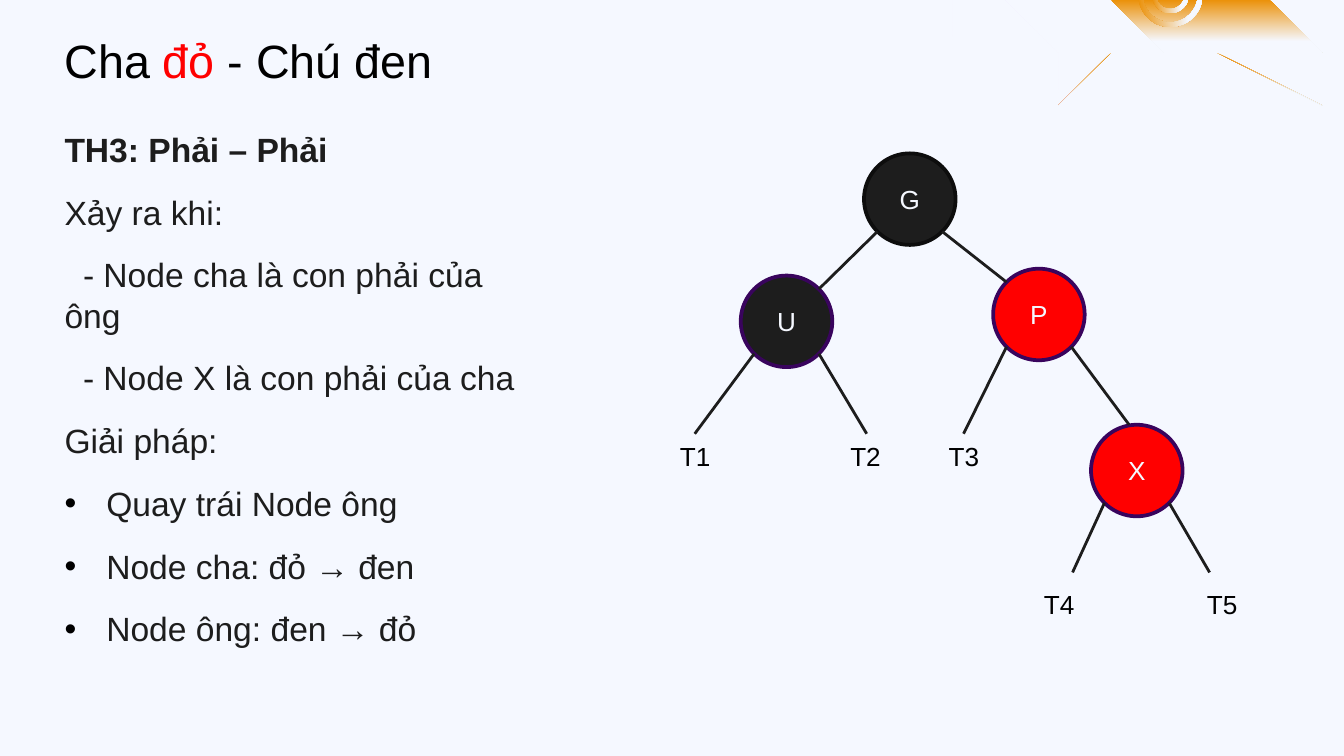
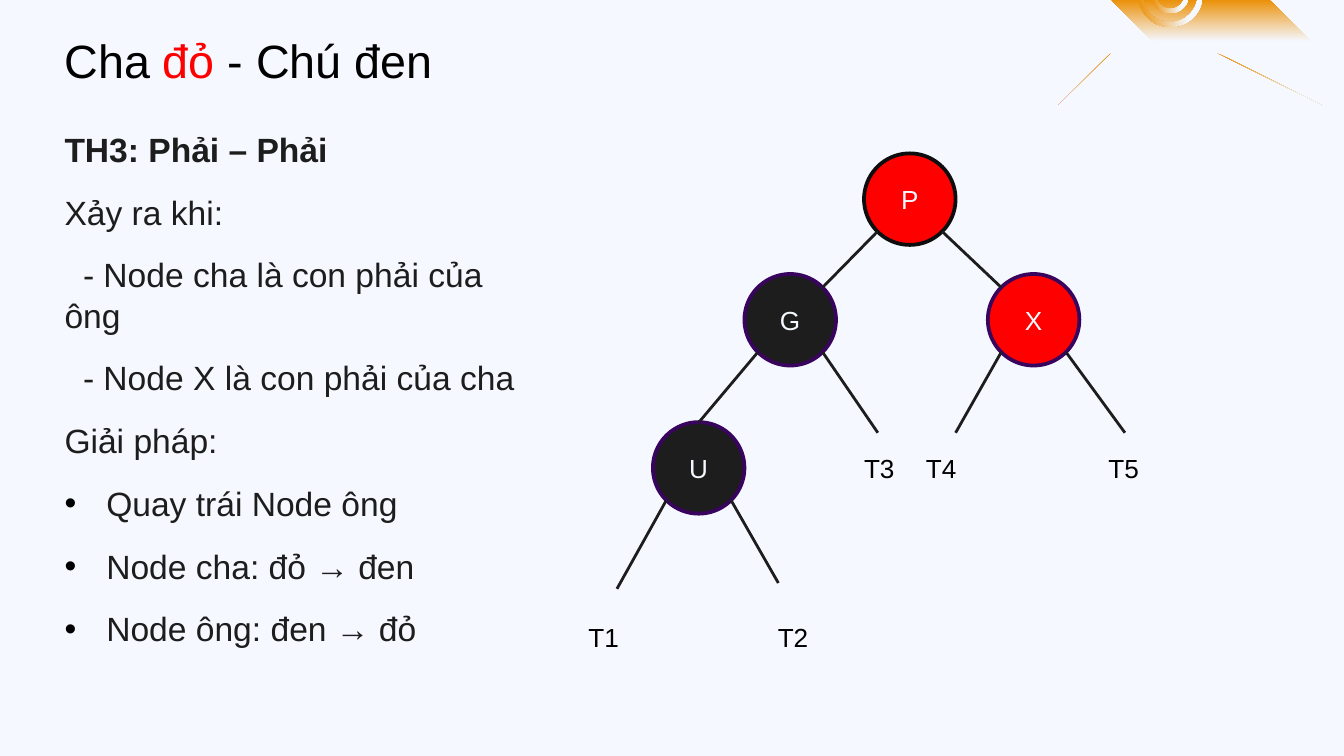
from math import sqrt

from lxml.etree import SubElement
from pptx import Presentation
from pptx.dml.color import RGBColor
from pptx.enum.shapes import MSO_CONNECTOR as Connector, MSO_SHAPE as Preset
from pptx.enum.text import MSO_ANCHOR as Anchor, MSO_AUTO_SIZE as AutoSize, PP_ALIGN as Align
from pptx.oxml.ns import qn
from pptx.util import Cm, Pt

FONT = "Arial"
COLORS = {
    "ground": "F5F8FF", "text": "000000", "ink": "1D1D1D", "red": "FF0000",
    "root_rim": "0D0D0D", "rim": "39045D",
    "orange": "EB9109", "violet": "9900FF", "white": "FFFFFF",
}

TITLE = [("Cha ", "text"), ("đỏ", "red"), (" - Chú đen", "text")]
# (kind, text)
BODY = [
    ("head", "TH3: Phải – Phải"),
    ("plain", "Xảy ra khi:"),
    ("dash", "- Node cha là con phải của ông"),
    ("dash", "- Node X là con phải của cha"),
    ("plain", "Giải pháp:"),
    ("bullet", "Quay trái Node ông"),
    ("bullet", "Node cha: đỏ → đen"),
    ("bullet", "Node ông: đen → đỏ"),
]

# All positions are in cm. Nodes: left, top, fill; the first one is the root.
# Edges: parent, side, then a child node or the point where the edge stops.
TREES = [
    {
        "nodes": {
            "G": (16.33, 2.9, "ink"), "X": (20.62, 8.03, "red"),
            "U": (14, 5.21, "ink"), "P": (18.77, 5.08, "red"),
        },
        "edges": [
            ("G", "left", "U"), ("G", "right", "P"),
            ("U", "left", (13.13, 8.2)), ("U", "right", (16.38, 8.2)),
            ("P", "left", (18.21, 8.2)), ("P", "right", (21.34, 8.03)),
            ("X", "left", (20.27, 10.82)), ("X", "right", (22.86, 10.82)),
        ],
        "subtrees": {
            "T1": (12.6, 8.2), "T2": (15.82, 8.2), "T3": (17.68, 8.2),
            "T4": (19.48, 11), "T5": (22.56, 11),
        },
    },
    {
        "nodes": {
            "P": (16.33, 2.9, "red"), "G": (14.07, 5.18, "ink"),
            "X": (18.67, 5.18, "red"), "U": (12.34, 7.98, "ink"),
        },
        "edges": [
            ("P", "left", "G"), ("P", "right", "X"),
            ("G", "left", (13.21, 7.98)), ("G", "right", (16.59, 8.18)),
            ("X", "left", (18.06, 8.18)), ("X", "right", (21.26, 8.18)),
            ("U", "left", (11.66, 11.13)), ("U", "right", (14.71, 11.02)),
        ],
        "subtrees": {
            "T1": (10.87, 11.63), "T2": (14.45, 11.63), "T3": (16.08, 8.43),
            "T4": (17.25, 8.43), "T5": (20.7, 8.43),
        },
    },
]
NODE_SIZE = 1.73

# Gradient stops: position %, colour, opacity %
VIOLET_FADE = [(0, "violet", 47), (100, "white", 0)]
ORANGE_FADE = [(0, "orange", 100), (78, "ground", 100), (100, "ground", 100)]
TRACES = [
    (VIOLET_FADE, [
        (19.56, -4.29), (18.67, -3.38), (18.64, -3.38), (18.64, -0.66), (17.98, 0),
        (17.98, 1.19), (18.03, 1.19), (18.03, 0), (18.69, -0.66), (18.69, -3.35),
        (19.58, -4.27)]),
    (VIOLET_FADE, [
        (20.57, -3.28), (19.2, -1.88), (19.18, -1.88), (19.18, -0.36), (18.69, 0.15),
        (19.69, 1.14), (19.69, 1.65), (19.71, 1.65), (19.71, 1.14), (18.75, 0.15),
        (19.23, -0.33), (19.23, -1.88), (20.6, -3.25)]),
    (ORANGE_FADE, [
        (25.17, 1.37), (24.26, 0.46), (21.54, 0.46), (20.88, -0.2), (19.69, -0.2),
        (19.69, -0.15), (20.88, -0.15), (21.54, 0.51), (24.23, 0.51), (25.15, 1.4)]),
    (ORANGE_FADE, [
        (24.56, 2.39), (23.19, 1.02), (23.19, 0.99), (21.64, 0.99), (21.16, 0.51),
        (20.14, 1.5), (19.66, 1.5), (19.66, 1.52), (20.17, 1.52), (21.16, 0.56),
        (21.62, 1.04), (23.16, 1.04), (24.54, 2.41)]),
]
RING_CENTER = (22.12, -0.1)
RINGS = [(1.22, 0.09), (0.7, 0.08)]  # diameter, thickness


def rgb(name):
    return RGBColor.from_string(COLORS[name])


def add_run(paragraph, text, color, size, bold=False):
    run = paragraph.add_run()
    run.text = text
    run.font.name, run.font.size, run.font.bold = FONT, Pt(size), bold
    run.font.color.rgb = rgb(color)


def add_frame(slide, left, top, width, height, wrap=False):
    box = slide.shapes.add_textbox(Cm(left), Cm(top), Cm(width), Cm(height))
    frame = box.text_frame
    frame.word_wrap = wrap
    frame.auto_size = AutoSize.SHAPE_TO_FIT_TEXT
    return frame


def fade(shape, stops, angle):
    """Fill with a linear gradient, its angle clockwise from left-to-right."""
    shape.shadow.inherit = False
    shape.line.fill.background()
    shape.fill.gradient()
    gradient = shape._element.spPr.find(qn("a:gradFill"))
    for child in list(gradient):
        gradient.remove(child)
    stop_list = SubElement(gradient, qn("a:gsLst"))
    for position, color, opacity in stops:
        stop = SubElement(stop_list, qn("a:gs"), pos=str(position * 1000))
        tint = SubElement(stop, qn("a:srgbClr"), val=COLORS[color])
        if opacity < 100:
            SubElement(tint, qn("a:alpha"), val=str(opacity * 1000))
    SubElement(gradient, qn("a:lin"), ang=str(angle * 60000), scaled="0")


def add_circuit(slide):
    for stops, outline in TRACES:
        builder = slide.shapes.build_freeform(*outline[0], scale=Cm(1))
        builder.add_line_segments(outline[1:], close=True)
        fade(builder.convert_to_shape(), stops, 90)
    for diameter, thickness in RINGS:
        left, top = (Cm(middle - diameter / 2) for middle in RING_CENTER)
        ring = slide.shapes.add_shape(Preset.DONUT, left, top, Cm(diameter), Cm(diameter))
        ring.adjustments[0] = thickness / diameter
        fade(ring, ORANGE_FADE, 0)


def add_title(slide):
    paragraph = add_frame(slide, 0.97, 0.48, 8.1, 1.32).paragraphs[0]
    for text, color in TITLE:
        add_run(paragraph, text, color, 25)


def indent(paragraph, kind):
    properties = paragraph._p.get_or_add_pPr()
    if kind == "dash":
        properties.set("indent", str(Cm(0.35)))
    elif kind == "bullet":
        properties.set("marL", str(Cm(0.79)))
        properties.set("indent", str(-Cm(0.79)))
        bullet_color = SubElement(properties, qn("a:buClr"))
        SubElement(bullet_color, qn("a:srgbClr"), val=COLORS["text"])
        SubElement(properties, qn("a:buFont"), typeface=FONT)
        SubElement(properties, qn("a:buChar"), char="•")


def add_body(slide):
    frame = add_frame(slide, 0.97, 2.31, 9.55, 10.19, wrap=True)
    for index, (kind, text) in enumerate(BODY):
        paragraph = frame.add_paragraph() if index else frame.paragraphs[0]
        indent(paragraph, kind)
        paragraph.space_before = Pt(6 if index else 0)
        paragraph.space_after = Pt(6)
        add_run(paragraph, text, "ink", 18, bold=kind == "head")


def node_corner(node, side, below):
    """Point on a node's circle, 45 degrees off the vertical."""
    radius = NODE_SIZE / 2
    reach = radius / sqrt(2)
    left, top, _ = node
    return (left + radius + (reach if side == "right" else -reach),
            top + radius + (reach if below else -reach))


def add_edge(slide, start, end):
    edge = slide.shapes.add_connector(Connector.STRAIGHT, *map(Cm, start + end))
    edge.line.color.rgb = rgb("ink")
    edge.line.width = Pt(1.5)
    SubElement(edge._element.spPr, qn("a:effectLst"))


def add_node(slide, name, left, top, fill, rim):
    node = slide.shapes.add_shape(
        Preset.OVAL, Cm(left), Cm(top), Cm(NODE_SIZE), Cm(NODE_SIZE))
    node.shadow.inherit = False
    node.fill.solid()
    node.fill.fore_color.rgb = rgb(fill)
    node.line.color.rgb = rgb(rim)
    node.line.width = Pt(2)
    node.text_frame.vertical_anchor = Anchor.MIDDLE
    paragraph = node.text_frame.paragraphs[0]
    paragraph.alignment = Align.CENTER
    add_run(paragraph, name, "ground", 14)


def add_tree(slide, tree):
    nodes = tree["nodes"]
    for index, (name, node) in enumerate(nodes.items()):
        add_node(slide, name, *node, "rim" if index else "root_rim")
    for parent, side, end in tree["edges"]:
        if end in nodes:
            facing = "left" if side == "right" else "right"
            end = node_corner(nodes[end], facing, below=False)
        add_edge(slide, node_corner(nodes[parent], side, below=True), end)
    for name, (left, top) in tree["subtrees"].items():
        add_run(add_frame(slide, left, top, 1.12, 0.86).paragraphs[0], name, "text", 14)


def main():
    prs = Presentation()
    prs.slide_width, prs.slide_height = Cm(25.4), Cm(14.29)
    ground = prs.slide_master.background.fill
    ground.solid()
    ground.fore_color.rgb = rgb("ground")
    for tree in TREES:
        slide = prs.slides.add_slide(prs.slide_layouts[6])
        add_circuit(slide)
        add_title(slide)
        add_body(slide)
        add_tree(slide, tree)
    prs.save("out.pptx")


if __name__ == "__main__":
    main()
